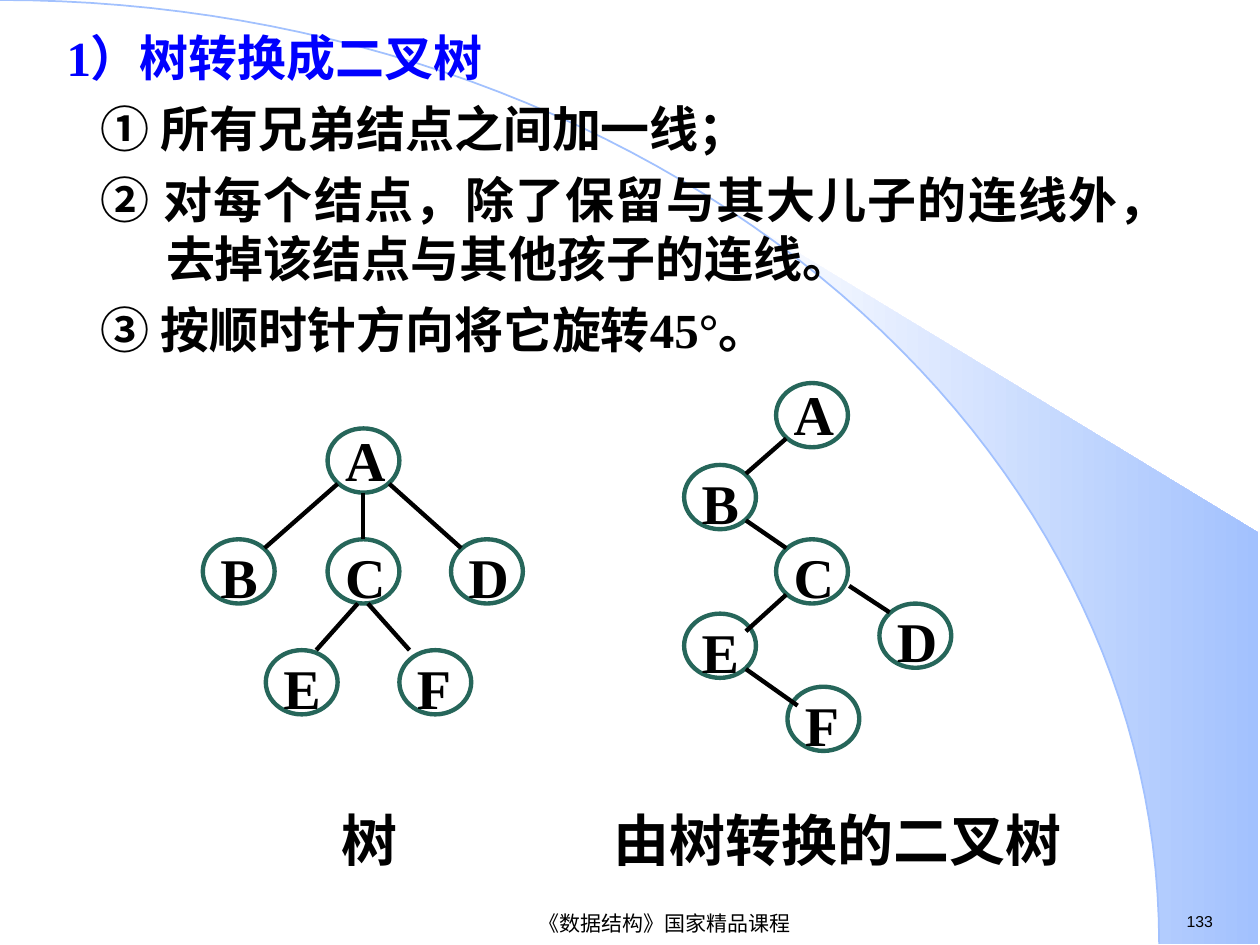
from math import asin, cos, pi, sin

from lxml import etree
from pptx import Presentation
from pptx.dml.color import RGBColor
from pptx.enum.shapes import MSO_CONNECTOR, MSO_SHAPE
from pptx.enum.text import MSO_ANCHOR, MSO_AUTO_SIZE, PP_ALIGN
from pptx.oxml.ns import qn
from pptx.util import Inches, Pt

OVAL = MSO_SHAPE.OVAL
LINE = MSO_CONNECTOR.STRAIGHT
MIDDLE = MSO_ANCHOR.MIDDLE
GROW = MSO_AUTO_SIZE.SHAPE_TO_FIT_TEXT
CENTER, JUST = PP_ALIGN.CENTER, PP_ALIGN.JUSTIFY

WIDE, HIGH = Inches(10), Inches(7.5)
COLS, ROWS = 100, 75
COLORS = {"ink": "000000", "title": "0000FF", "node": "26665A",
          "sweep": "A2C1FE", "paper": "FFFFFF"}
SERIF = {"name": "Times New Roman", "bold": True}
LABEL = {**SERIF, "size": Pt(32)}
BODY = {**SERIF, "size": Pt(28)}

NODE = (5.7, 5.1)
PORTS = {
    "top": (2.8, 0), "top left": (0.8, 0), "top right": (4, 0),
    "base": (2.8, 5.1), "base left": (2.4, 5.1), "base right": (3.2, 5.1),
    "nw": (0.8, 0.7), "ne": (4.9, 0.7), "sw": (0.8, 4.4), "se": (4.9, 4.4),
    "low nw": (0.8, 1.5), "low ne": (4.9, 1.4), "right": (5.8, 3.7),
}
TREE = {"A": (26, 34), "B": (16.1, 42.8), "C": (26, 42.8),
        "D": (35.8, 42.8), "E": (21.1, 51.6), "F": (31.7, 51.6)}
TREE_EDGES = [("A", "base", "C", "top"), ("A", "sw", "B", "ne"),
              ("A", "se", "D", "nw"), ("C", "base left", "E", "top right"),
              ("C", "base right", "F", "top left")]
BINARY = {"A": (61.6, 30.4), "B": (54.3, 36.9), "C": (61.6, 42.8),
          "D": (69.8, 47.9), "E": (54.3, 48.7), "F": (62.5, 54.5)}
BINARY_EDGES = [("A", "sw", "B", "ne"), ("B", "se", "C", "nw"),
                ("C", "sw", "E", "low ne"), ("E", "se", "F", "low nw"),
                ("C", "right", "D", "nw")]
STEPS = ["① 所有兄弟结点之间加一线；",
         "② 对每个结点，除了保留与其大儿子的连线外，去掉该结点与其他孩子的连线。",
         "③ 按顺时针方向将它旋转45°。"]


def col(n):
    return round(WIDE * n / COLS)


def row(n):
    return round(HIGH * n / ROWS)


def grid(*nums):
    return [col(n) if i % 2 == 0 else row(n) for i, n in enumerate(nums)]


def color(key):
    return RGBColor.from_string(COLORS[key])


def style(item, values):
    for key, value in values.items():
        setattr(item, key, value)


def stroke(item, key, size):
    item.line.color.rgb = color(key)
    item.line.width = Pt(size)


def write(para, text, font, key="ink", **form):
    run = para.add_run()
    run.text = text
    style(para, form)
    style(run.font, font)
    run.font.color.rgb = color(key)


def box(slide, area, **form):
    frame = slide.shapes.add_textbox(*grid(*area)).text_frame
    style(frame, {"word_wrap": True, **form})
    return frame


def arc(start):
    steps = 60
    turns = [start + (pi / 2 - start) * i / steps for i in range(steps + 1)]
    return [grid(92 * sin(t), 74.9 * (1 - cos(t))) for t in turns]


def outline(slide, points, close):
    pen = slide.shapes.build_freeform(*points[0])
    pen.add_line_segments(points[1:], close=close)
    shape = pen.convert_to_shape()
    shape.shadow.inherit = False
    return shape


def sweep(slide):
    edge = arc(asin(58.9 / 92))
    wedge = outline(slide, edge + [grid(99.9, 74.9), grid(99.9, 42.3)], True)
    wedge.line.fill.background()
    wedge.fill.gradient()
    wedge.fill.gradient_angle = 0
    for stop, key in zip(wedge.fill.gradient_stops, ("paper", "sweep")):
        stop.color.rgb = color(key)
    curve = outline(slide, arc(0), False)
    curve.fill.background()
    stroke(curve, "sweep", 1)


def node(slide, name, spot):
    x, y = spot
    oval = slide.shapes.add_shape(OVAL, *grid(x, y, *NODE))
    oval.shadow.inherit = False
    oval.fill.background()
    stroke(oval, "node", 2.5)
    root = name == "A"
    area = (x + 0.4, y - 0.75, NODE[0], 6.4 if root else 6.9)
    frame = box(slide, area, auto_size=GROW)
    write(frame.paragraphs[0], name, LABEL, line_spacing=1.0 if root else 1.1)


def link(slide, start, end):
    line = slide.shapes.add_connector(LINE, *grid(*start, *end))
    stroke(line, "ink", 2.5)
    etree.SubElement(line._element.spPr, qn("a:effectLst"))


def port(spot, side):
    return [a + b for a, b in zip(spot, PORTS[side])]


def graph(slide, nodes, edges):
    for name, spot in nodes.items():
        node(slide, name, spot)
    for head, out, tail, into in edges:
        link(slide, port(nodes[head], out), port(nodes[tail], into))


def rules(slide):
    frame = box(slide, (4.3, 1.7, 89.4, 34.3))
    write(frame.paragraphs[0], "1）树转换成二叉树", BODY, "title", alignment=JUST)
    for text in STEPS:
        para = frame.add_paragraph()
        props = para._p.get_or_add_pPr()
        props.set("marL", str(col(7.9)))
        props.set("indent", str(col(-5.2)))
        write(para, text, BODY, alignment=JUST, space_before=Pt(7))


def footer(slide):
    number = box(slide, (93.2, 71.9, 6.8, 2.5))
    write(number.paragraphs[0], "133", {"name": "Arial", "size": Pt(9)})
    course = box(slide, (24, 72.1, 57.5, 2.4), vertical_anchor=MIDDLE)
    write(course.paragraphs[0], "《数据结构》国家精品课程",
          {"name": "Arial", "size": Pt(12)}, alignment=CENTER)


def main():
    deck = Presentation()
    style(deck, {"slide_width": WIDE, "slide_height": HIGH})
    slide = deck.slides.add_slide(deck.slide_layouts[6])
    sweep(slide)
    footer(slide)
    rules(slide)
    graph(slide, TREE, TREE_EDGES)
    graph(slide, BINARY, BINARY_EDGES)
    for text, left, width in (("树", 26.1, 7.4), ("由树转换的二叉树", 47.7, 38.4)):
        frame = box(slide, (left, 63.4, width, 6.4), auto_size=GROW)
        write(frame.paragraphs[0], text, LABEL)
    deck.save("out.pptx")


if __name__ == "__main__":
    main()
